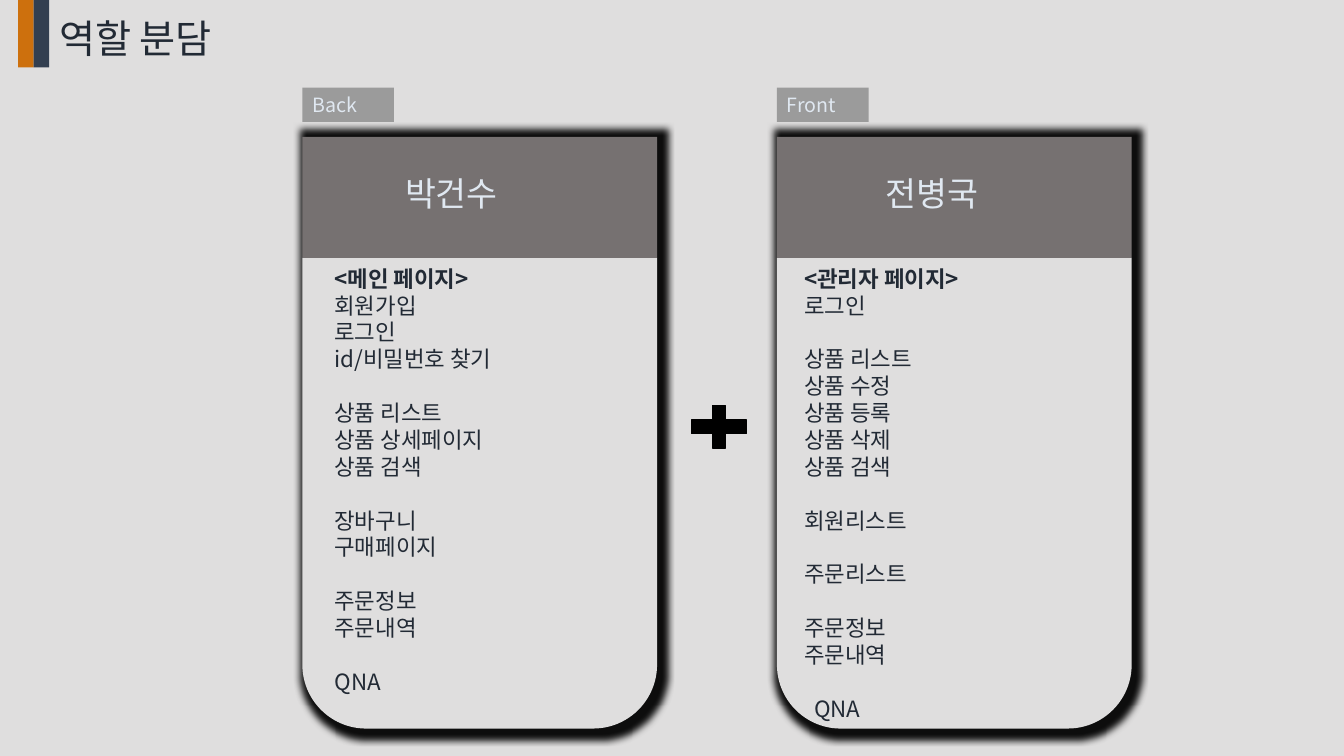
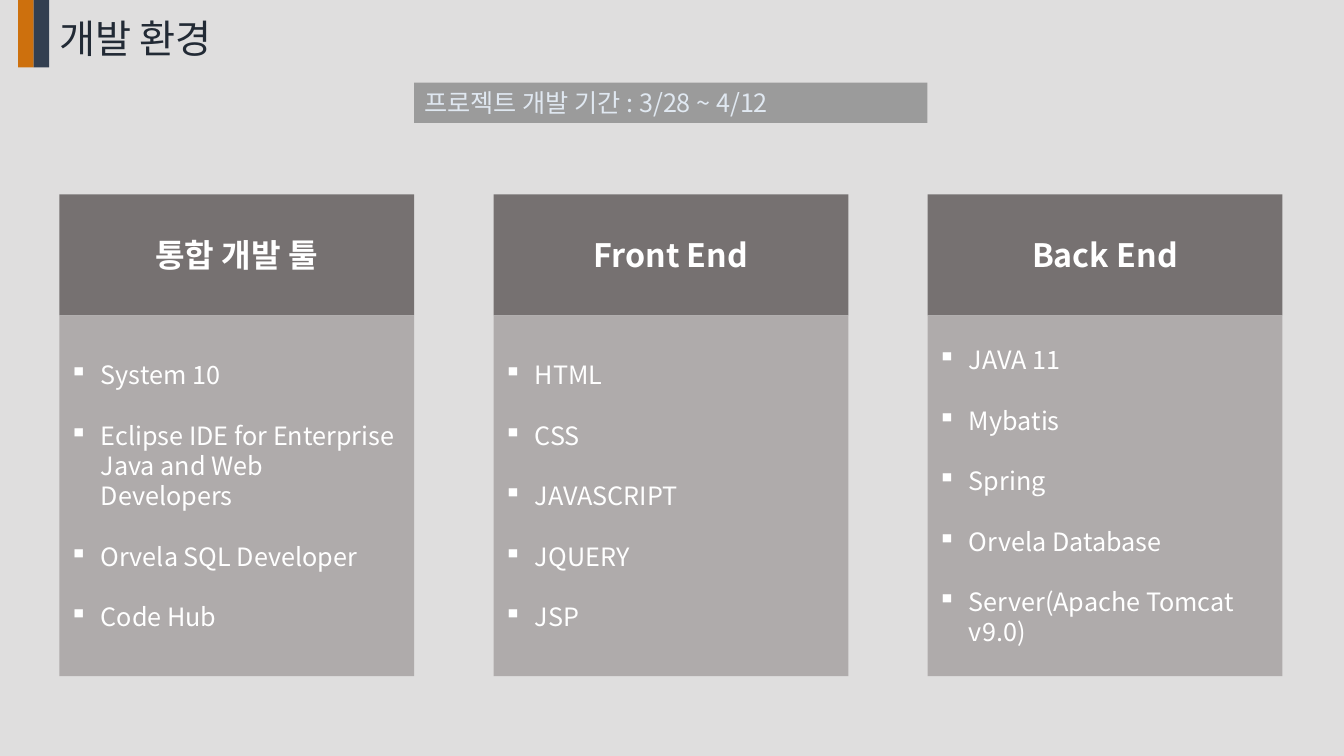
"""Builds two project slides: who does what, and the development setup."""
import lxml.etree
import pptx
import pptx.dml.color
import pptx.enum.shapes
import pptx.enum.text
import pptx.oxml.ns
import pptx.util

Cm = pptx.util.Cm
Kind = pptx.enum.shapes.MSO_SHAPE
Align = pptx.enum.text.PP_ALIGN
Anchor = pptx.enum.text.MSO_ANCHOR
qn = pptx.oxml.ns.qn


class Theme:
    font = "Noto Sans CJK KR"
    back = "DFDEDE"
    accent = "CD700D"
    navy = "333F50"
    ink = "222A35"
    pale = "E0E8F1"
    white = "FFFFFF"
    black = "000000"
    shade = "0D0D0D"
    head = "767171"
    body = "AFABAB"
    tag = "9B9B9B"
    title = 28
    name = 24
    topic = 23
    item = 18
    task = 16
    label = 14
    gap = 1.2


def block(slide, kind, left, top, width, height, fill):
    """Add a plain filled shape, measured in centimetres."""
    shape = slide.shapes.add_shape(kind, Cm(left), Cm(top), Cm(width), Cm(height))
    shape.shadow.inherit = False
    shape.fill.solid()
    shape.fill.fore_color.rgb = pptx.dml.color.RGBColor.from_string(fill)
    shape.line.fill.background()
    return shape


def write(shape, groups, size, color, bold=False, lead=False, align=Align.LEFT,
          anchor=Anchor.TOP, wrap=True, bullet=None):
    """Write groups of lines with one line's gap between groups; lead bolds the first line."""
    frame = shape.text_frame
    frame.word_wrap = wrap
    frame.vertical_anchor = anchor
    lines = [(text, row == 0) for group in groups for row, text in enumerate(group)]
    for count, (text, opens) in enumerate(lines):
        para = frame.paragraphs[0] if count == 0 else frame.add_paragraph()
        para.alignment = align
        if opens and count:
            para.space_before = pptx.util.Pt(size * Theme.gap)
        if bullet:
            props = para._p.get_or_add_pPr()
            props.set("marL", str(Cm(0.79)))
            props.set("indent", str(Cm(-0.79)))
            lxml.etree.SubElement(props, qn("a:buChar")).set("char", bullet)
        for part, piece in enumerate(text.split("\n")):
            if part:
                para.add_line_break()
            run = para.add_run()
            run.text = piece
            run.font.size = pptx.util.Pt(size)
            run.font.bold = bold or (lead and count == 0)
            run.font.color.rgb = pptx.dml.color.RGBColor.from_string(color)
            run.font.name = Theme.font
            east = lxml.etree.SubElement(run._r.get_or_add_rPr(), qn("a:ea"))
            east.set("typeface", Theme.font)


deck = pptx.Presentation()
deck.slide_width = Cm(33.87)
deck.slide_height = Cm(19.05)
blank = deck.slide_layouts[6]
ground = deck.slide_master.background.fill
ground.solid()
ground.fore_color.rgb = pptx.dml.color.RGBColor.from_string(Theme.back)

pages = []
for title in ("역할 분담", "개발 환경"):
    page = deck.slides.add_slide(blank)
    box = page.shapes.add_textbox(Cm(1.24), Cm(0.23), Cm(4.85), Cm(1.45))
    write(box, [[title]], Theme.title, Theme.ink, wrap=False)
    pages.append(page)
roles, tools = pages

for left, fill in ((0.46, Theme.accent), (0.85, Theme.navy)):
    bar = block(roles, Kind.RECTANGLE, left, 0, 0.39, 1.7, fill)
    blank.shapes.element.append(bar.element)

people = [
    (7.62, "Back", "박건수", 2.34, 0.56, [
        ["<메인 페이지>", "회원가입", "로그인", "id/비밀번호 찾기"],
        ["상품 리스트", "상품 상세페이지", "상품 검색"],
        ["장바구니", "구매페이지"],
        ["주문정보", "주문내역"],
        ["QNA"]]),
    (19.58, "Front", "전병국", 2.49, 0.44, [
        ["<관리자 페이지>", "로그인"],
        ["상품 리스트", "상품 수정", "상품 등록", "상품 삭제", "상품 검색"],
        ["회원리스트"],
        ["주문리스트"],
        ["주문정보", "주문내역"],
        ["QNA"]]),
]
for left, side, name, inset, edge, tasks in people:
    shade = block(roles, Kind.ROUND_2_SAME_RECTANGLE, left - 0.23, 3.1, 9.6, 15.72, Theme.shade)
    blur = lxml.etree.SubElement(shade.element.spPr.find(qn("a:effectLst")), qn("a:softEdge"))
    blur.set("rad", str(pptx.util.Pt(5)))
    panel = block(roles, Kind.ROUND_2_SAME_RECTANGLE, left, 6.5, 8.94, 11.86, Theme.back)
    for shape in (shade, panel):
        shape.adjustments[0] = 0
        shape.adjustments[1] = 0.18
    block(roles, Kind.RECTANGLE, left, 3.45, 8.94, 3.05, Theme.head)
    box = roles.shapes.add_textbox(Cm(left + inset), Cm(4.24), Cm(3.99), Cm(1.27))
    write(box, [[name]], Theme.name, Theme.pale)
    box = roles.shapes.add_textbox(Cm(left + edge), Cm(6.55), Cm(8.23), Cm(11.2))
    write(box, tasks, Theme.task, Theme.ink, lead=True)
    tag = block(roles, Kind.RECTANGLE, left, 2.21, 2.31, 0.86, Theme.tag)
    write(tag, [[side]], Theme.label, Theme.pale)
last = box.text_frame.paragraphs[-1]
last._p.get_or_add_pPr().set("marL", str(Cm(0.25)))

plus = block(roles, Kind.MATH_PLUS, 17.17, 10.03, 1.9, 1.45, Theme.black)
plus.line.color.rgb = pptx.dml.color.RGBColor.from_string(Theme.black)
plus.line.width = pptx.util.Pt(1)

stacks = [
    ("통합 개발 툴", ["System 10", "Eclipse IDE for Enterprise Java and Web\nDevelopers",
                 "Orvela SQL Developer", "Code Hub"]),
    ("Front End", ["HTML", "CSS", "JAVASCRIPT", "JQUERY", "JSP"]),
    ("Back End", ["JAVA 11", "Mybatis", "Spring", "Orvela Database",
                  "Server(Apache Tomcat v9.0)"]),
]
for col, (topic, items) in enumerate(stacks):
    left = 1.5 + col * 10.94
    head = block(tools, Kind.RECTANGLE, left, 4.9, 8.94, 3.05, Theme.head)
    write(head, [[topic]], Theme.topic, Theme.white, bold=True,
          align=Align.CENTER, anchor=Anchor.MIDDLE)
    body = block(tools, Kind.RECTANGLE, left, 7.95, 8.94, 9.09, Theme.body)
    write(body, [[item] for item in items], Theme.item, Theme.white,
          anchor=Anchor.MIDDLE, bullet="▪")

span = block(tools, Kind.RECTANGLE, 10.44, 2.08, 12.93, 1.02, Theme.tag)
write(span, [["프로젝트 개발 기간 : 3/28 ~ 4/12"]], Theme.item, Theme.pale)

deck.save("out.pptx")
